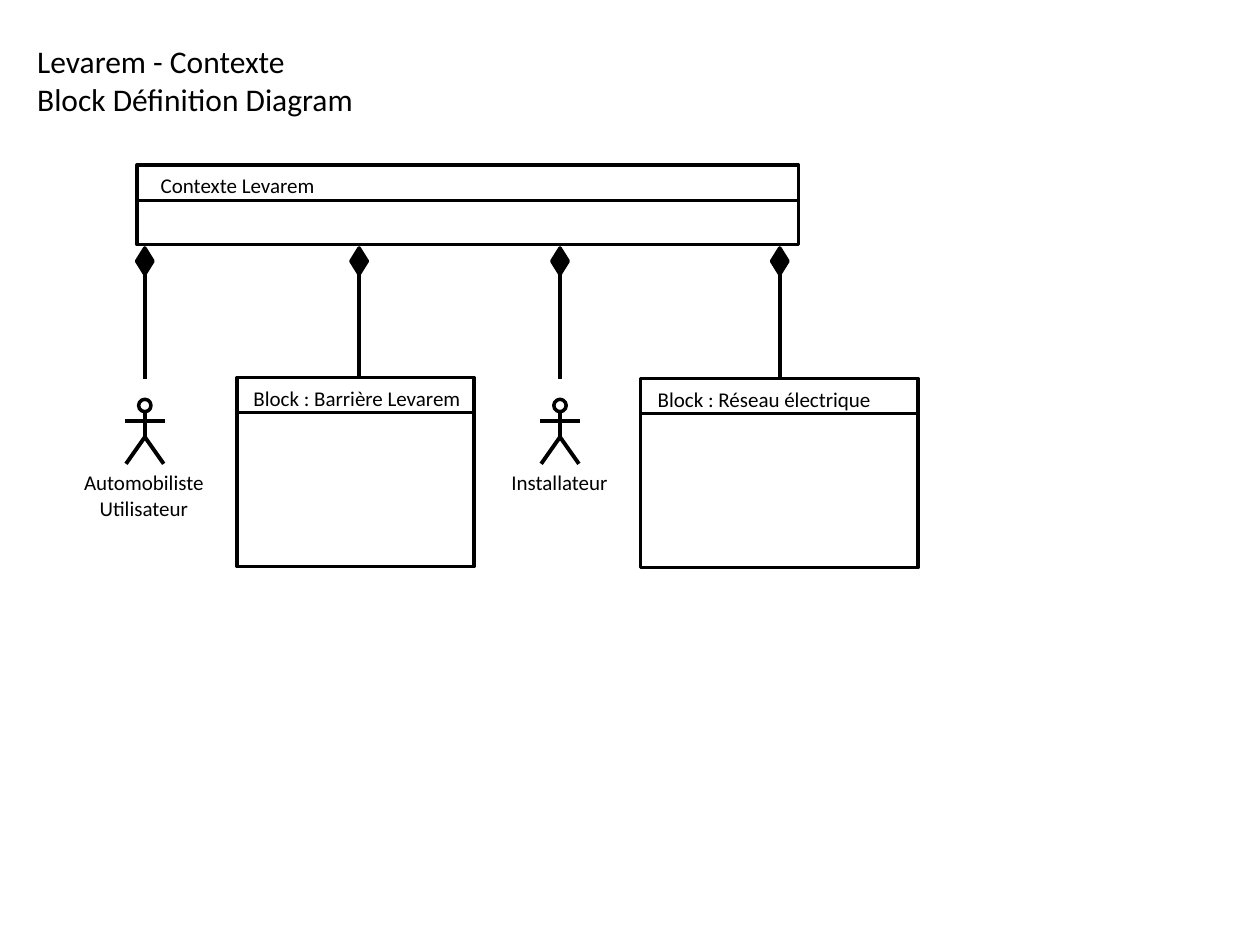
import dataclasses

import pptx
import pptx.dml.color
import pptx.enum.shapes
import pptx.enum.text
import pptx.util
import lxml.etree

Cm = pptx.util.Cm
Pt = pptx.util.Pt
SHAPE = pptx.enum.shapes.MSO_SHAPE
ALIGN = pptx.enum.text.PP_ALIGN


@dataclasses.dataclass(frozen=True)
class Theme:
    ink: pptx.dml.color.RGBColor = pptx.dml.color.RGBColor(0, 0, 0)
    font: str = "Calibri"
    title_size: int = 18
    label_size: int = 12
    outline: float = 2
    stroke: float = 2.25


THEME = Theme()
LINK_TOP = 5
PRODUCT = "Levarem"


def set_all(target, values):
    for name, value in values.items():
        setattr(target, name, value)


def add_text(holder, lines, left, top, width, height, size, last_align=None):
    box = holder.shapes.add_textbox(Cm(left), Cm(top), Cm(width), Cm(height))
    frame = box.text_frame
    set_all(frame, {"word_wrap": False,
                    "auto_size": pptx.enum.text.MSO_AUTO_SIZE.SHAPE_TO_FIT_TEXT})
    for index, line in enumerate(lines):
        para = frame.add_paragraph() if index else frame.paragraphs[0]
        span = para.add_run()
        span.text = line
        set_all(span.font, {"name": THEME.font, "size": Pt(size)})
        span.font.color.rgb = THEME.ink
    if last_align is not None:
        para.alignment = last_align


def add_outline(holder, kind, left, top, width, height, filled=False):
    shape = holder.shapes.add_shape(kind, Cm(left), Cm(top), Cm(width), Cm(height))
    shape.shadow.inherit = False
    if filled:
        shape.fill.solid()
        shape.fill.fore_color.rgb = THEME.ink
    else:
        shape.fill.background()
    shape.line.color.rgb = THEME.ink
    shape.line.width = Pt(THEME.outline)


def add_line(holder, x1, y1, x2, y2):
    line = holder.shapes.add_connector(
        pptx.enum.shapes.MSO_CONNECTOR.STRAIGHT, Cm(x1), Cm(y1), Cm(x2), Cm(y2))
    line.line.color.rgb = THEME.ink
    line.line.width = Pt(THEME.stroke)
    properties = line._element.spPr
    lxml.etree.SubElement(properties, pptx.oxml.ns.qn("a:effectLst"))


def add_block(page, label, left, top, width, body, indent, label_width, link=None):
    header = 0.71
    group = page.shapes.add_group_shape()
    add_outline(group, SHAPE.RECTANGLE, left, top + header, width, body)
    add_outline(group, SHAPE.RECTANGLE, left, top, width, header)
    add_text(group, [label], left + indent, top + 0.03, label_width, 0.76,
             THEME.label_size)
    if link is not None:
        add_composition(group, link)


def add_composition(group, center):
    width, height = 0.33, 0.53
    add_outline(group, SHAPE.DIAMOND, center - width / 2, LINK_TOP, width, height, True)
    add_line(group, center, LINK_TOP + height, center, 7.65)


def add_actor(page, lines, center, label_width, last_align=None):
    head, top, hip, foot = 0.25, 8.05, 8.81, 9.35
    group = page.shapes.add_group_shape()
    add_outline(group, SHAPE.OVAL, center - head / 2, top, head, head)
    add_line(group, center, top + head, center, hip)
    for reach in (0.38, -0.38):
        add_line(group, center, hip, center + reach, foot)
    add_line(group, center + 0.4, 8.48, center - 0.4, 8.48)
    add_text(group, lines, center - label_width / 2, foot, label_width,
             0.13 + 0.6 * len(lines), THEME.label_size, last_align)
    add_composition(group, center)


def main():
    deck = pptx.Presentation()
    set_all(deck, {"slide_width": Cm(25.4), "slide_height": Cm(19.05)})
    page = deck.slides.add_slide(deck.slide_layouts[6])
    add_text(page, [f"{PRODUCT} - Contexte", "Block Définition Diagram"],
             0.5, 0.73, 6.96, 1.8, THEME.title_size)
    add_block(page, f"Contexte {PRODUCT}", 2.76, 3.33, 13.34, 0.89, 0.23, 12)
    add_actor(page, ["Automobiliste", "Utilisateur"], 2.92, 2.95, ALIGN.CENTER)
    add_block(page, f"Block : Barrière {PRODUCT} ",
              4.78, 7.61, 4.78, 3.1, 0.08, 4.83, 7.24)
    add_block(page, "Block : Réseau électrique ",
              12.91, 7.63, 5.6, 3.1, 0.1, 4.95, 15.72)
    add_actor(page, ["Installateur"], 11.29, 2.46)
    deck.save("out.pptx")


main()
